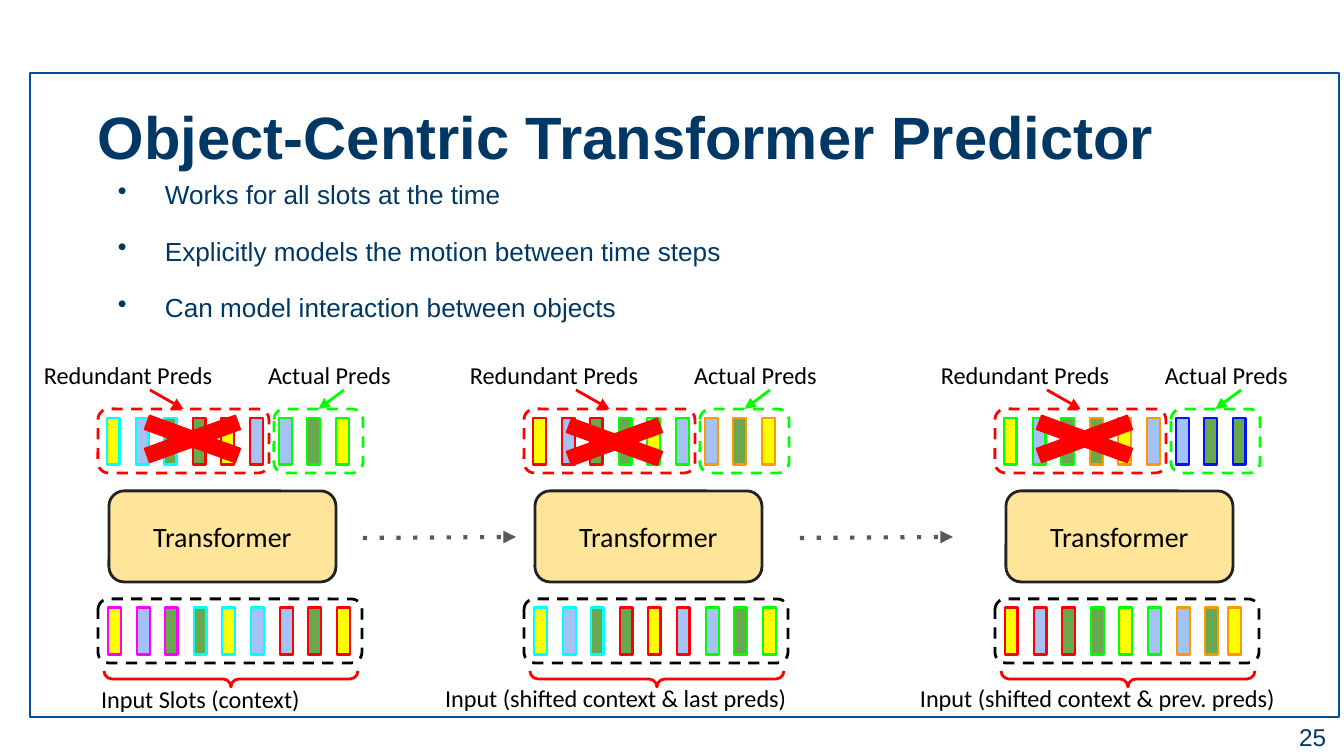
from lxml import etree
from pptx import Presentation
from pptx.dml.color import RGBColor
from pptx.enum.dml import MSO_LINE
from pptx.enum.shapes import MSO_CONNECTOR, MSO_SHAPE
from pptx.enum.text import MSO_ANCHOR, PP_ALIGN
from pptx.oxml.ns import qn
from pptx.util import Pt

PX = 9144000 / 1344  # EMU per px
RECT, ROUND = MSO_SHAPE.RECTANGLE, MSO_SHAPE.ROUNDED_RECTANGLE
BRACE, CROSS = MSO_SHAPE.LEFT_BRACE, MSO_SHAPE.MATH_MULTIPLY
STRAIGHT = MSO_CONNECTOR.STRAIGHT
DASH = MSO_LINE.DASH
LEFT, CENTER, RIGHT = PP_ALIGN.LEFT, PP_ALIGN.CENTER, PP_ALIGN.RIGHT
TOP, MIDDLE = MSO_ANCHOR.TOP, MSO_ANCHOR.MIDDLE

NAVY, BLACK, RED, GREEN = "003865", "000000", "FF0000", "00FF00"
CYAN, MAGENTA, ORANGE, BLUE = "00FFFF", "FF00FF", "FF9900", "0012FF"
YELLOW, PALE, LEAF = "FFFF00", "A4C2F4", "6AA84F"
SLOT_FILLS = [YELLOW, PALE, LEAF, LEAF, YELLOW, PALE, PALE, LEAF, YELLOW]
SLOT_PITCH = 28.6


def emu(px):
    return round(px * PX)


def rgb(color):
    return RGBColor.from_string(color)


class Deck:
    """Holds the presentation, its slide and the text style."""

    body = {"font": "Calibri", "size": 13, "color": BLACK}
    heading = {"font": "Arial", "size": 14, "color": NAVY}

    def __init__(self):
        self.prs = Presentation()
        self.prs.slide_width, self.prs.slide_height = emu(1344), emu(756)
        self.slide = self.prs.slides.add_slide(self.prs.slide_layouts[6])

    def outline(self, line, color, width, dash=None):
        line.color.rgb = rgb(color)
        line.width = Pt(width)
        if dash:
            line.dash_style = dash

    def shape(self, kind, box, line, width=1.5, fill=None, dash=None, adjust=(), turn=0):
        shape = self.slide.shapes.add_shape(kind, *map(emu, box))
        shape.shadow.inherit = False
        shape.rotation = turn
        for index, value in enumerate(adjust):
            shape.adjustments[index] = value
        if fill:
            shape.fill.solid()
            shape.fill.fore_color.rgb = rgb(fill)
        else:
            shape.fill.background()
        self.outline(shape.line, line, width, dash)
        return shape

    def set_text(self, frame, lines, style, insets=(3, 0), align=LEFT, anchor=TOP,
                 spacing=None, before=0, bullet=False, bold=False):
        side, edge = map(emu, insets)
        frame_format = {"word_wrap": True, "vertical_anchor": anchor,
                        "margin_left": side, "margin_right": side,
                        "margin_top": edge, "margin_bottom": edge}
        for name, value in frame_format.items():
            setattr(frame, name, value)
        for index, line in enumerate(lines):
            paragraph = frame.paragraphs[0] if index == 0 else frame.add_paragraph()
            paragraph.text = line
            paragraph_format = {"alignment": align, "line_spacing": spacing,
                                "space_before": Pt(before if index else 0)}
            for name, value in paragraph_format.items():
                setattr(paragraph, name, value)
            if bullet:
                self.bullet(paragraph)
            font_format = {"name": style["font"], "size": Pt(style["size"]), "bold": bold}
            for name, value in font_format.items():
                setattr(paragraph.font, name, value)
            paragraph.font.color.rgb = rgb(style["color"])

    def bullet(self, paragraph):
        properties = paragraph._p.get_or_add_pPr()
        properties.set("marL", str(emu(67)))
        properties.set("indent", str(emu(-47)))
        etree.SubElement(properties, qn("a:buChar")).set("char", "•")

    def text(self, box, lines, style=None, **layout):
        textbox = self.slide.shapes.add_textbox(*map(emu, box))
        self.set_text(textbox.text_frame, lines, style or self.body, **layout)

    def arrow(self, start, end, color, width=1.5, dotted=False, target=None):
        arrow = self.slide.shapes.add_connector(STRAIGHT, *map(emu, start + end))
        if target:
            arrow.end_connect(target, 0)
        self.outline(arrow.line, color, width)
        properties = arrow._element.spPr
        line = properties.find(qn("a:ln"))
        if dotted:
            etree.SubElement(line, qn("a:prstDash")).set("val", "dot")
        etree.SubElement(line, qn("a:tailEnd")).set("type", "triangle")
        etree.SubElement(properties, qn("a:effectLst"))

    def slots(self, left, top, fills, edges, last_shift=0):
        for index, fill in enumerate(fills):
            shift = last_shift if index == len(fills) - 1 else 0
            x = left + round(index * SLOT_PITCH) + shift
            self.shape(RECT, (x, top, 13, 47), edges[index // 3], fill=fill)

    def stage(self, left, inputs, outputs, output_fills, last_shift, caption, caption_box, cross):
        # Input slots with brace and caption
        self.shape(ROUND, (left, 599, 264, 64), BLACK, dash=DASH)
        self.slots(left + 10, 608, SLOT_FILLS, inputs, last_shift)
        self.shape(BRACE, (left + 125, 552, 16, 254), RED, adjust=(0.5, 0.5), turn=270)
        self.text(caption_box, [caption])

        # Transformer block
        block = self.shape(ROUND, (left + 11, 491, 227, 91), "222222", fill="FFE599")
        self.set_text(block.text_frame, ["Transformer"], {**self.body, "size": 15},
                      insets=(13, 13), align=CENTER, anchor=MIDDLE)

        # Predicted slots, split into redundant and actual ones
        actual = self.shape(ROUND, (left + 176, 409, 89, 64), GREEN, dash=DASH)
        redundant = self.shape(ROUND, (left, 409, 171, 64), RED, dash=DASH)
        self.slots(left + 9, 418, output_fills, outputs)
        self.text((left - 57, 360, 220, 30), ["Redundant Preds"])
        self.text((left + 167, 360, 159, 30), ["Actual Preds"])
        self.arrow((left + 52, 390), (left + 86, 409), RED, target=redundant)
        self.arrow((left + 246, 390), (left + 220, 409), GREEN, target=actual)
        self.shape(CROSS, (*cross, 175, 64), RED, 0.75, RED, adjust=(0.235,))


def main():
    deck = Deck()

    # Frame, title, bullets and page number
    deck.shape(RECT, (30, 73, 1309, 644), "004F9F", 0.75)
    deck.text((85, 82, 1223, 90), ["Object-Centric Transformer Predictor"],
              {**deck.heading, "size": 32}, insets=(13, 7), spacing=1.15, bold=True)
    deck.text((85, 167, 1219, 185),
              ["Works for all slots at the time",
               "Explicitly models the motion between time steps",
               "Can model interaction between objects"],
              deck.heading, insets=(13, 7), spacing=1.15, before=11, bullet=True)
    deck.text((1258, 708, 81, 58), ["25"], {**deck.heading, "size": 13},
              insets=(13, 13), align=RIGHT, anchor=MIDDLE)

    # Prediction stages
    last_fills = SLOT_FILLS[:7] + [LEAF, LEAF]
    stages = [
        (98, (MAGENTA, CYAN, RED), (CYAN, RED, GREEN), SLOT_FILLS, 0,
         "Input Slots (context)", (98, 684, 259, 30), (105, 407)),
        (524, (CYAN, RED, GREEN), (RED, GREEN, ORANGE), SLOT_FILLS, 0,
         "Input (shifted context & last preds)", (442, 683, 422, 30), (527, 410)),
        (995, (RED, GREEN, ORANGE), (GREEN, ORANGE, BLUE), last_fills, -6,
         "Input (shifted context & prev. preds)", (917, 683, 427, 30), (997, 407)),
    ]
    for stage in stages:
        deck.stage(*stage)

    # Steps from one stage to the next
    for start in (363, 800):
        deck.arrow((start, 538), (start + 153, 537), "595959", 2.25, dotted=True)

    deck.prs.save("out.pptx")


if __name__ == "__main__":
    main()
